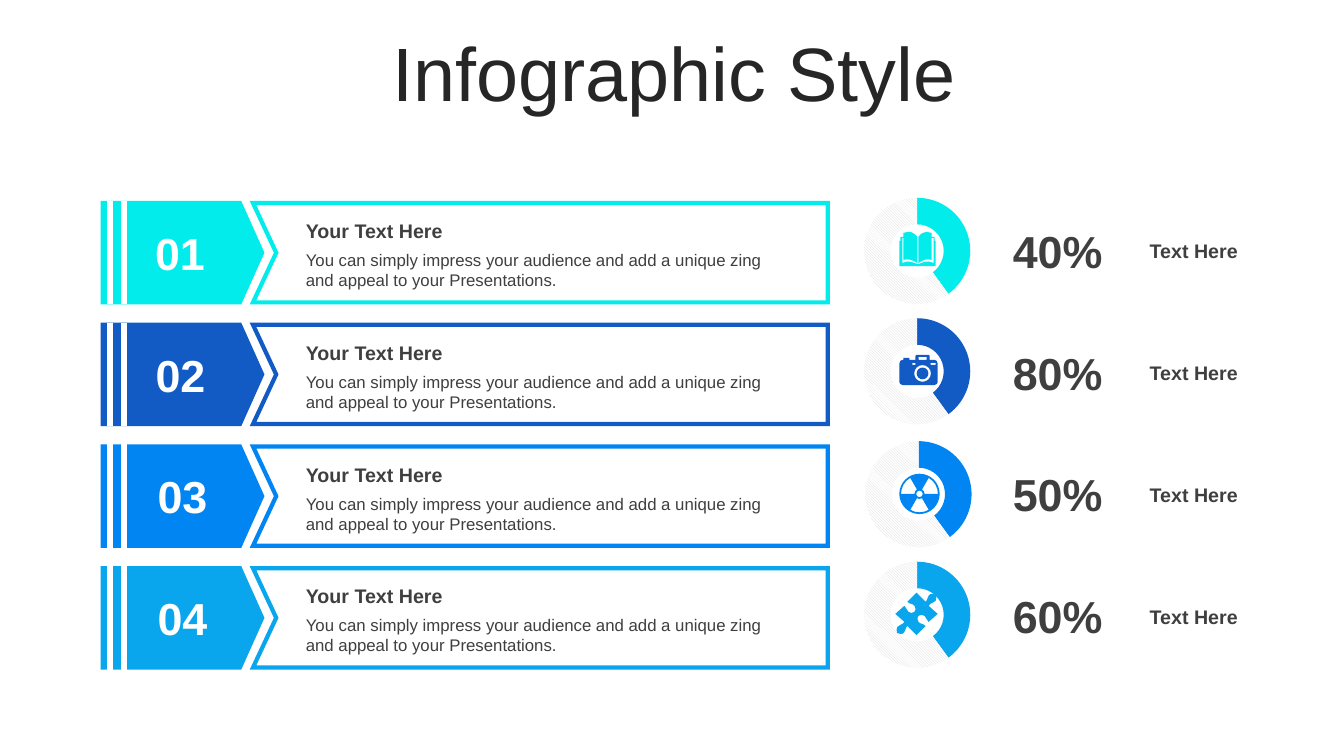
from collections import namedtuple
from itertools import chain
from math import cos, radians, sin, tan

from lxml.etree import SubElement
from pptx import Presentation
from pptx.chart.data import CategoryChartData
from pptx.dml.color import RGBColor
from pptx.enum.chart import XL_CHART_TYPE as ChartKind
from pptx.enum.dml import MSO_PATTERN as Pattern
from pptx.enum.shapes import MSO_SHAPE as Preset
from pptx.enum.text import MSO_ANCHOR as Anchor, PP_ALIGN as Align
from pptx.util import Inches, Pt

Box = namedtuple("Box", "left top width height")
CELL = Inches(0.01)
COLUMNS, ROWS = 1333, 750
INK, WHITE = "3F3F3F", "FFFFFF"
MESSAGE = ("You can simply impress your audience and add a unique zing "
           "and appeal to your Presentations.")


def colour(code):
    return RGBColor.from_string(code)


def within(box, left, top, width, height):
    return Box(box.left + left, box.top + top, width, height)


def emu(lengths):
    return [round(length * CELL) for length in lengths]


def paint(shape, fill, edge=None):
    shape.shadow.inherit = False
    shape.fill.solid()
    shape.fill.fore_color.rgb = colour(fill)
    if not edge:
        shape.line.fill.background()
        return
    shape.line.color.rgb = colour(edge)
    shape.line.width = Pt(3)
    stroke = shape.line._get_or_add_ln()
    SubElement(stroke, "{%s}miter" % stroke.nsmap["a"]).set("lim", "800000")


def write(slide, box, words, size, ink=INK, bold=True, align=Align.CENTER,
          anchor=Anchor.TOP, inset=5, spacing=None):
    frame = slide.shapes.add_textbox(*emu(box)).text_frame
    layout = {"word_wrap": True, "vertical_anchor": anchor,
              "margin_left": 10 * CELL, "margin_right": 10 * CELL,
              "margin_top": inset * CELL, "margin_bottom": inset * CELL}
    for key, value in layout.items():
        setattr(frame, key, value)
    line = frame.paragraphs[0]
    line.alignment = align
    if spacing:
        line.line_spacing = spacing
    run = line.add_run()
    run.text = words
    for key, value in {"name": "Arial", "size": Pt(size), "bold": bold}.items():
        setattr(run.font, key, value)
    run.font.color.rgb = colour(ink)


def outline(slide, box, contours, fill, edge=None):
    placed = [[emu(v + (box.left, box.top)[i % 2] for i, v in enumerate(step))
               for step in contour] for contour in contours]
    builder = slide.shapes.build_freeform(*placed[0][0], scale=1.0)
    for index, contour in enumerate(placed):
        if index:
            builder.move_to(*contour[0])
        builder.add_line_segments([step[-2:] for step in contour[1:]], close=True)
    shape = builder.convert_to_shape()
    origin = shape.left, shape.top
    steps = chain.from_iterable(contour[1:] for contour in placed)
    for node, step in zip(shape._element.xpath(".//a:lnTo"), steps):
        if len(step) == 6:
            prefix = "{%s}" % node.nsmap["a"]
            curve = node.makeelement(prefix + "cubicBezTo")
            node.getparent().replace(node, curve)
            for i in (0, 2, 4):
                SubElement(curve, prefix + "pt", x=str(step[i] - origin[0]),
                           y=str(step[i + 1] - origin[1]))
    paint(shape, fill, edge)


def arc(x, y, radius, start, sweep):
    a, b = radians(start), radians(start + sweep)
    pull = 4 / 3 * tan((b - a) / 4)
    return [(x + radius * cos(a), y + radius * sin(a)),
            (x + radius * (cos(a) - pull * sin(a)), y + radius * (sin(a) + pull * cos(a)),
             x + radius * (cos(b) + pull * sin(b)), y + radius * (sin(b) - pull * cos(b)),
             x + radius * cos(b), y + radius * sin(b))]


def circle(x, y, radius):
    quarters = [arc(x, y, radius, start, 90) for start in (0, 90, 180, 270)]
    return quarters[0][:1] + [quarter[1] for quarter in quarters]


def block(left, top, width, height):
    right, bottom = left + width, top + height
    return [(left, top), (right, top), (right, bottom), (left, bottom)]


def book():
    return [[(18, 32), (18, 32, 19, 32, 19, 32), (25, 30, 27, 28, 34, 31), (34, 6),
             (32, 6), (32, 28), (28, 26, 23, 28, 19, 31), (19, 5), (21, 2, 24, 0, 27, 0),
             (28, 0, 30, 1, 32, 1), (32, 5), (35, 5), (35, 9), (36, 9), (36, 34),
             (0, 34), (0, 9), (1, 9), (1, 5), (4, 5), (4, 1), (6, 1, 8, 0, 9, 0),
             (13, 0, 15, 2, 18, 5), (18, 31), (13, 28, 8, 26, 4, 28), (4, 6), (3, 6),
             (3, 31), (9, 28, 12, 30, 18, 32)]]


def camera():
    body = [(17, 0), (29, 0), (29, 0, 30, 1, 30, 1), (30, 5), (35, 5),
            (37, 5, 38, 7, 38, 9), (38, 27), (38, 28, 37, 30, 35, 30), (3, 30),
            (1, 30, 0, 28, 0, 27), (0, 9), (0, 7, 1, 5, 3, 5), (4, 5), (4, 3), (10, 3),
            (10, 5), (16, 5), (16, 1), (16, 1, 17, 0, 17, 0)]
    return [circle(23, 18.5, 5.8), circle(23, 18.5, 8.3), block(13, 8, 3, 2),
            block(31, 8, 5, 2), block(19, 2, 8, 3), body]


def radiation():
    blades = [arc(20, 20, 18.3, a, 60) + arc(20, 20, 5, a + 60, -60)
              for a in (60, 180, 300)]
    return [*blades, circle(20, 20, 3.3), circle(20, 20, 20)]


def puzzle():
    half = [(40, 2), (41, 4, 41, 6, 40, 8), (38, 11, 36, 9, 33, 13), (42, 21),
            (33, 29), (30, 27, 32, 25, 29, 23), (27, 21, 25, 22, 23, 23),
            (22, 24, 21, 27, 23, 29), (26, 32, 27, 30, 30, 33), (21, 42),
            (12, 33), (9, 36, 11, 37, 9, 39), (7, 42, 4, 41, 2, 40)]
    return [half + [tuple(42 - v for v in step) for step in half[1:]]]


def banner(slide, box, number, number_left, accent):
    height = box.height
    panel = [(149, 0), (box.width, 0), (box.width, height), (149, height),
             (172, height / 2)]
    outline(slide, box, [panel], WHITE, accent)
    bars = [(Preset.PENTAGON, 0, 158, accent), (Preset.RECTANGLE, 6, 2, WHITE),
            (Preset.RECTANGLE, 20, 2, WHITE)]
    for preset, left, width, fill in bars:
        bar = slide.shapes.add_shape(preset, *emu(within(box, left, 0, width, height)))
        if preset == Preset.PENTAGON:
            bar.adjustments[0] = 0.224
        paint(bar, fill, fill)
    write(slide, within(box, number_left, 22, 82, 54), number, 32, WHITE,
          anchor=Anchor.MIDDLE, inset=0)
    write(slide, within(box, 191.5, 11, 500, 34), "Your Text Here", 14, align=Align.LEFT)
    write(slide, within(box, 191.5, 41.5, 500, 50), MESSAGE, 12, bold=False,
          align=Align.LEFT)


def ring(slide, box, accent, plot_left, plot_top):
    shares = CategoryChartData()
    shares.categories = ["1", "2"]
    shares.add_series("Series 1", (40, 60))
    chart = slide.shapes.add_chart(ChartKind.DOUGHNUT, *emu(box), shares).chart
    chart.has_legend = chart.has_title = False
    for key, value in {"name": "Arial", "size": Pt(18)}.items():
        setattr(chart.font, key, value)
    chart.font.color.rgb = colour("000000")
    plot = chart.plots[0]
    plot.has_data_labels = False
    filled, rest = (plot.series[0].points[n].format for n in range(2))
    filled.fill.solid()
    filled.fill.fore_color.rgb = colour(accent)
    rest.fill.patterned()
    rest.fill.pattern = Pattern.LIGHT_DOWNWARD_DIAGONAL
    rest.fill.fore_color.rgb = colour("D9D9D9")
    rest.fill.back_color.rgb = colour(WHITE)
    for part in (filled, rest):
        part.line.fill.background()
    area = chart._chartSpace.xpath("//c:plotArea")[0]
    area.xpath(".//c:holeSize")[0].set("val", "75")
    for old in area.xpath("./c:layout"):
        area.remove(old)
    prefix = "{%s}" % area.nsmap["c"]
    layout = SubElement(area, prefix + "layout")
    area.insert(0, layout)
    manual = SubElement(layout, prefix + "manualLayout")
    for key, value in {"layoutTarget": "inner", "xMode": "edge", "yMode": "edge",
                       "x": plot_left, "y": plot_top, "w": 0.976, "h": 0.942}.items():
        SubElement(manual, prefix + key).set("val", str(value))


def measure(slide, box, percent, accent, plot_corner, icon, icon_corner):
    ring(slide, within(box, 0, -9.2, 108, 112), accent, *plot_corner)
    outline(slide, within(box, *icon_corner, 0, 0), icon(), accent)
    write(slide, within(box, 133, 15, 118, 64), percent, 32, anchor=Anchor.MIDDLE)
    write(slide, within(box, 268, 31, 118, 34), "Text Here", 14)


def infographic(slide, box):
    write(slide, within(box, 35.5, 37, 1266, 79), "Infographic Style", 54, "262626",
          bold=False, anchor=Anchor.MIDDLE, spacing=0.9)
    entries = [("01", 35.5, "40%", "02ECEC", (0, 0.036), book, (35, 28.5)),
               ("02", 36, "80%", "125AC4", (0, 0.024), camera, (35, 29.75)),
               ("03", 38, "50%", "0085F2", (0.012, 0.034), radiation, (35, 27)),
               ("04", 38, "60%", "0AA6ED", (0, 0.024), puzzle, (31, 24.25))]
    for index, (number, number_left, percent, accent, *gauge) in enumerate(entries):
        top = 201.5 + 120.75 * index
        banner(slide, within(box, 102, top, 719, 98.5), number, number_left, accent)
        measure(slide, within(box, 857, top, 386, 98.5), percent, accent, *gauge)


deck = Presentation()
deck.slide_width, deck.slide_height = COLUMNS * CELL, ROWS * CELL
infographic(deck.slides.add_slide(deck.slide_layouts[6]), Box(0, 0, COLUMNS, ROWS))
deck.save("out.pptx")
